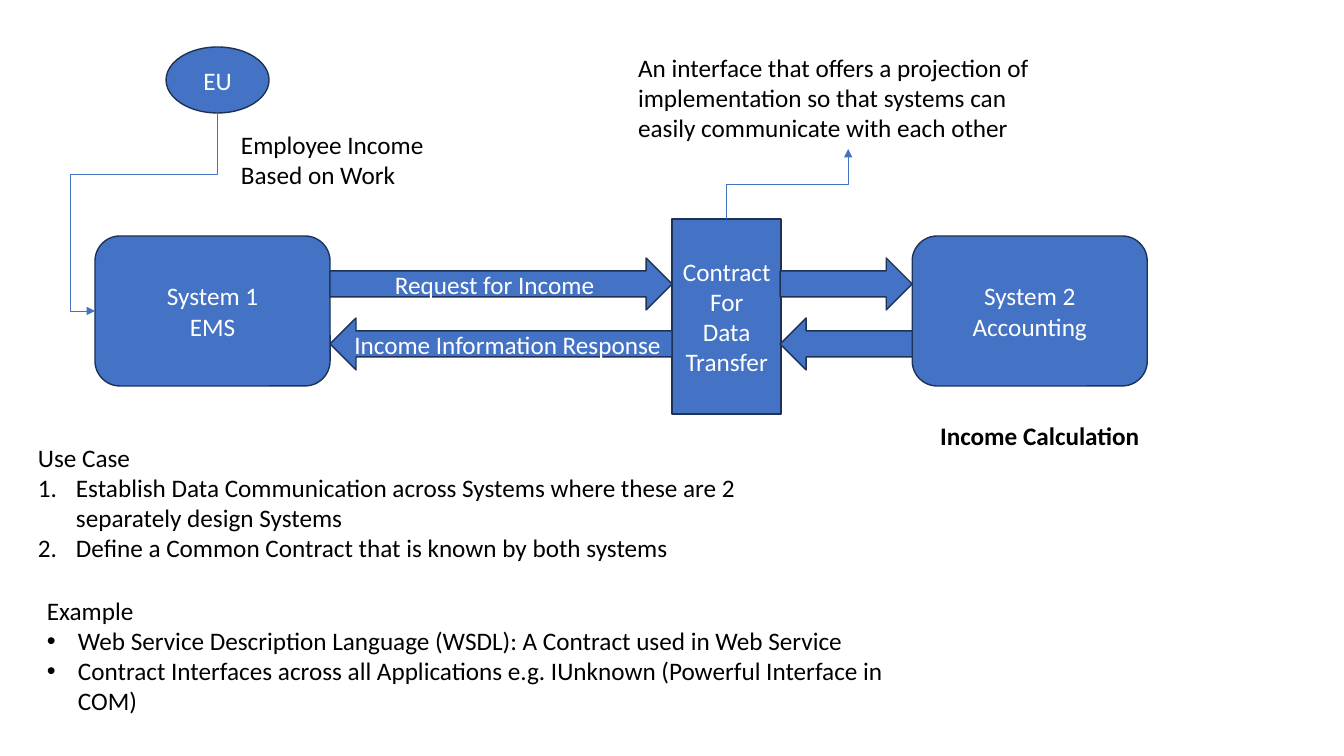
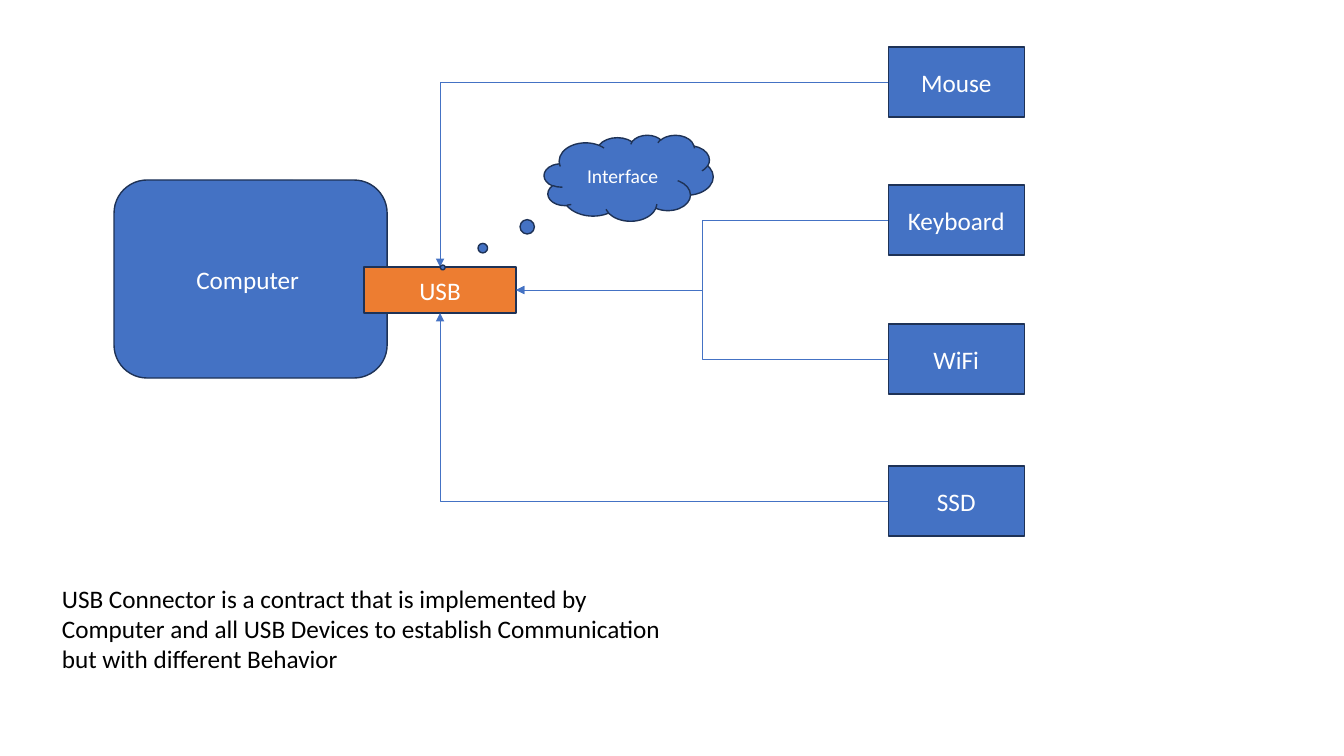
from dataclasses import dataclass

from lxml import etree
from pptx import Presentation
from pptx import util as u
from pptx.dml.color import RGBColor
from pptx.enum import shapes, text
from pptx.oxml.ns import qn

EMU_PER_PIXEL = 914400 / 100.8
TOP, LEFT, BOTTOM, RIGHT = range(4)
KIND = shapes.MSO_SHAPE


@dataclass(frozen=True)
class Theme:
    font: str = "Calibri"
    blue: str = "4472C4"
    orange: str = "ED7D31"
    outline: str = "1E3256"
    light: str = "FFFFFF"
    dark: str = "000000"
    body: int = 18
    small: int = 14
    border: float = 1
    wire: float = 0.5


def px(value):
    return u.Emu(round(value * EMU_PER_PIXEL))


class Diagram:
    """Draws the elements of the current slide in one style."""

    def __init__(self, theme):
        self.theme = theme
        self.deck = Presentation()
        self.deck.slide_width, self.deck.slide_height = u.Inches(13.33), u.Inches(7.5)

    def new_slide(self):
        self.slide = self.deck.slides.add_slide(self.deck.slide_layouts[6])

    def _write(self, paragraph, words, color, size, bold=False):
        run = paragraph.add_run()
        run.text = words
        run.font.name = self.theme.font
        run.font.size = u.Pt(size)
        run.font.bold = bold
        run.font.color.rgb = RGBColor.from_string(color)

    def _fill_frame(self, frame, lines, color, size, align, bold=False):
        frame.word_wrap = True
        for index, line in enumerate(lines):
            paragraph = frame.add_paragraph() if index else frame.paragraphs[0]
            paragraph.alignment = align
            self._write(paragraph, line, color, size, bold)

    def block(self, kind, box, *lines, fill=None, size=None):
        shape = self.slide.shapes.add_shape(kind, *map(px, box))
        shape.shadow.inherit = False
        shape.fill.solid()
        shape.fill.fore_color.rgb = RGBColor.from_string(fill or self.theme.blue)
        shape.line.color.rgb = RGBColor.from_string(self.theme.outline)
        shape.line.width = u.Pt(self.theme.border)
        shape.text_frame.vertical_anchor = text.MSO_ANCHOR.MIDDLE
        self._fill_frame(shape.text_frame, lines, self.theme.light,
                         size or self.theme.body, text.PP_ALIGN.CENTER)
        return shape

    def note(self, box, *lines, align=text.PP_ALIGN.LEFT, bold=False):
        label = self.slide.shapes.add_textbox(*map(px, box))
        self._fill_frame(label.text_frame, lines, self.theme.dark,
                         self.theme.body, align, bold)
        label.text_frame.auto_size = text.MSO_AUTO_SIZE.SHAPE_TO_FIT_TEXT
        return label

    def listing(self, box, heading, items, indent, numbered=False):
        label = self.note(box, heading, *items)
        for paragraph in label.text_frame.paragraphs[1:]:
            props = paragraph._p.get_or_add_pPr()
            props.set("marL", str(px(indent)))
            props.set("indent", str(-px(indent)))
            if numbered:
                etree.SubElement(props, qn("a:buAutoNum"), type="arabicPeriod")
            else:
                etree.SubElement(props, qn("a:buFont"), typeface="Arial")
                etree.SubElement(props, qn("a:buChar"), char="•")

    def elbow(self, start, start_side, end, end_side, turn, flips="", bends=3, adjust=()):
        """Joins two shapes; turn and flips orient the bent path."""
        wire = self.slide.shapes.add_connector(shapes.MSO_CONNECTOR.ELBOW, 0, 0, 0, 0)
        wire.begin_connect(start, start_side)
        wire.end_connect(end, end_side)
        if start.shape_type == shapes.MSO_SHAPE_TYPE.AUTO_SHAPE \
                and start.auto_shape_type == KIND.OVAL:
            # An ellipse has eight connection sites, two for each side
            wire._element.find(".//" + qn("a:stCxn")).set("idx", str(start_side * 2))

        # Orientation and path
        if turn == 90:
            wide, high = wire.width, wire.height
            wire.left, wire.top = (u.Emu(wire.left + (wide - high) // 2),
                                   u.Emu(wire.top + (high - wide) // 2))
            wire.width, wire.height = high, wide
        props = wire._element.spPr
        frame = props.find(qn("a:xfrm"))
        frame.set("rot", str(turn * 60000))
        for axis in "hv":
            frame.set("flip" + axis.upper(), str(int(axis in flips)))
        path = props.find(qn("a:prstGeom"))
        path.set("prst", f"bentConnector{bends}")
        guides = path.find(qn("a:avLst"))
        if guides is None:
            guides = etree.SubElement(path, qn("a:avLst"))
        for number, share in enumerate(adjust, 1):
            etree.SubElement(guides, qn("a:gd"), name=f"adj{number}",
                             fmla=f"val {round(share * 100000)}")

        # Line and arrowhead
        wire.line.color.rgb = RGBColor.from_string(self.theme.blue)
        wire.line.width = u.Pt(self.theme.wire)
        etree.SubElement(props.find(qn("a:ln")), qn("a:tailEnd"), type="triangle")
        etree.SubElement(props, qn("a:effectLst"))


theme = Theme()
diagram = Diagram(theme)

# Slide 1: contract between two systems
diagram.new_slide()
employee_system = diagram.block(KIND.ROUNDED_RECTANGLE, (95, 236, 235, 150),
                                "System 1", "EMS")
diagram.block(KIND.ROUNDED_RECTANGLE, (912, 236, 235, 150), "System 2", "Accounting")
end_user = diagram.block(KIND.OVAL, (166, 47, 103, 66), "EU")
diagram.elbow(end_user, BOTTOM, employee_system, LEFT, 90, bends=4, adjust=(0.31, 1.2))
diagram.note((231, 124, 235, 72), "Employee Income Based on Work")
diagram.note((903, 415, 273, 40), "Income Calculation",
             align=text.PP_ALIGN.CENTER, bold=True)

# Requests run right, responses run left
contract = diagram.block(KIND.RECTANGLE, (672, 219, 109, 195),
                         "Contract", "For", "Data", "Transfer")
for kind, top, message in ((KIND.RIGHT_ARROW, 258, "Request for Income"),
                           (KIND.LEFT_ARROW, 318, "Income Information Response")):
    diagram.block(kind, (330, top, 342, 52), message)
    diagram.block(kind, (780, top, 132, 52))

interface_meaning = diagram.note(
    (628, 47, 440, 102),
    "An interface that offers a projection of implementation so that systems can "
    "easily communicate with each other ")
diagram.elbow(contract, TOP, interface_meaning, BOTTOM, 90, "hv")

# Use case and example
diagram.listing(
    (28, 437, 828, 132), "Use Case",
    ("Establish Data Communication across Systems where these are 2 separately design Systems",
     "Define a Common Contract that is known by both systems"),
    indent=38, numbered=True)
diagram.listing(
    (37, 590, 866, 132), "Example",
    ("Web Service Description Language (WSDL): A Contract used in Web Service",
     "Contract Interfaces across all Applications e.g. IUnknown "
     "(Powerful Interface in COM)"),
    indent=31)

# Slide 2: USB as the shared interface
diagram.new_slide()
diagram.block(KIND.ROUNDED_RECTANGLE, (114, 180, 273, 198), "Computer ")
usb = diagram.block(KIND.RECTANGLE, (364, 267, 152, 46), "USB", fill=theme.orange)

# Devices: name, top, side of the USB port, flips, bends
for name, top, port_side, flips, bends in (("Mouse", 47, TOP, "v", 2),
                                           ("Keyboard", 185, RIGHT, "v", 3),
                                           ("WiFi", 324, RIGHT, "", 3),
                                           ("SSD", 466, BOTTOM, "", 2)):
    device = diagram.block(KIND.RECTANGLE, (888, top, 136, 70), name)
    diagram.elbow(device, LEFT, usb, port_side, 180, flips, bends)

# Thought cloud and explanation
thought = diagram.block(KIND.CLOUD_CALLOUT, (544, 135, 169, 86), "Interface",
                        size=theme.small)
thought.adjustments[0], thought.adjustments[1] = -1.1, 1.04
diagram.note((52, 578, 639, 102),
             "USB Connector is a contract that is implemented by Computer and all USB "
             "Devices to establish Communication but with different Behavior")

diagram.deck.save("out.pptx")
